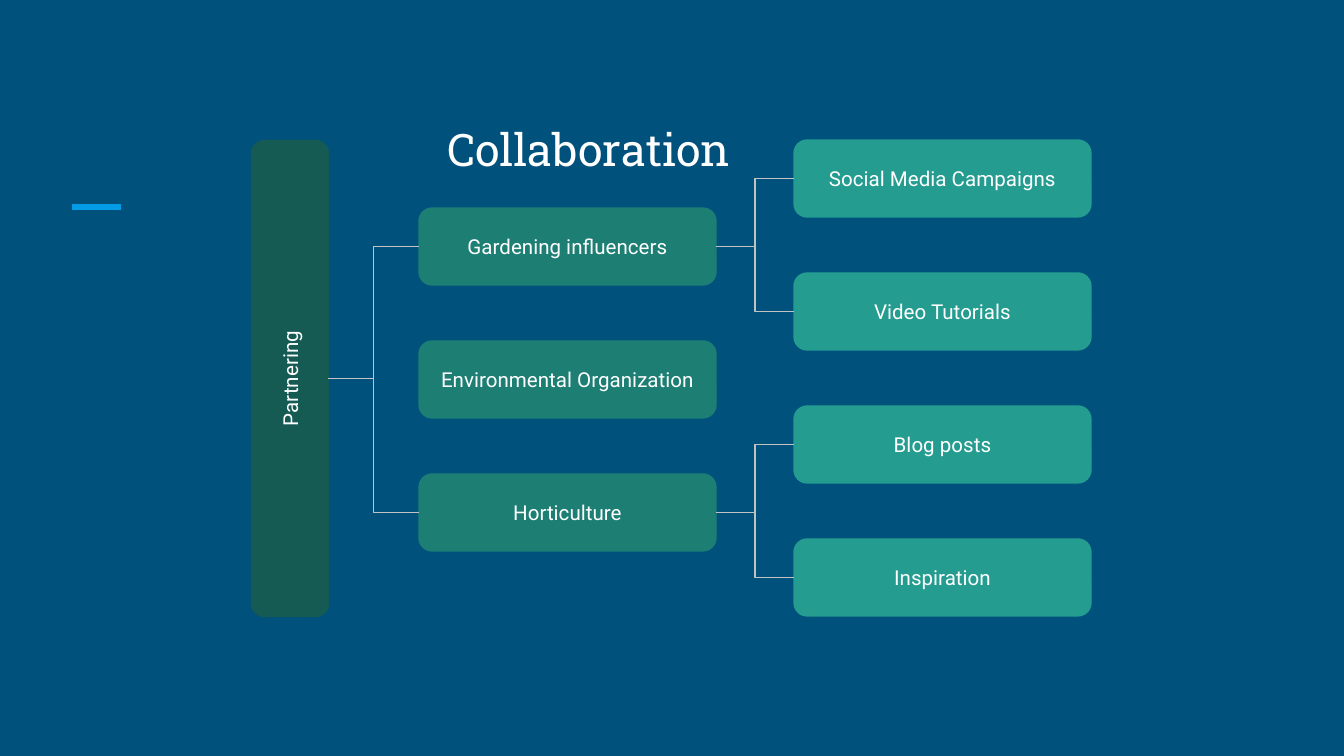
from pptx import Presentation, util as u
from pptx.dml.color import RGBColor
from pptx.enum import shapes, text
from pptx.oxml.ns import qn
from lxml import etree

HUES = {"back": "00517C", "dash": "039BE5", "link": "C2C2C2", "text": "FFFFFF",
        "root": "155B54", "mid": "1D7E74", "leaf": "249C90"}
WIDE, HIGH, STEP = 297, 77, 133  # box size and row pitch


def px(n):
    return u.Emu(round(n * 914400 / 134.4))


def hue(name):
    return RGBColor.from_string(HUES[name])


deck = Presentation()
deck.slide_width, deck.slide_height = px(1344), px(756)
slide = deck.slides.add_slide(deck.slide_layouts[6])
slide.background.fill.solid()
slide.background.fill.fore_color.rgb = hue("back")

# Title
title = slide.shapes.add_textbox(px(434), px(47), px(325), px(142))
frame = title.text_frame
frame.word_wrap = True
frame.vertical_anchor = text.MSO_ANCHOR.BOTTOM
frame.margin_left = frame.margin_right = u.Inches(0.1)
frame.margin_top = frame.margin_bottom = u.Inches(0.1)
frame.text = "Collaboration"
font = frame.paragraphs[0].font
font.name, font.size, font.color.rgb = "Roboto Slab", u.Pt(24), hue("text")

# Boxes: label, level, left, top, width
mids = ["Gardening influencers", "Environmental Organization", "Horticulture"]
leaves = ["Social Media Campaigns", "Video Tutorials", "Blog posts", "Inspiration"]
plan = [("Partnering", "root", 52, 340, 476)]
plan += [(label, "mid", 419, 208 + i * STEP, WIDE) for i, label in enumerate(mids)]
plan += [(label, "leaf", 794, 140 + i * STEP, WIDE) for i, label in enumerate(leaves)]

boxes = {}
for label, level, left, top, width in plan:
    box = slide.shapes.add_shape(shapes.MSO_SHAPE.ROUNDED_RECTANGLE,
                                 px(left), px(top), px(width), px(HIGH))
    box.shadow.inherit = False
    box.adjustments[0] = 0.17
    box.fill.solid()
    box.fill.fore_color.rgb = box.line.color.rgb = hue(level)
    box.line.width = u.Pt(0.75)
    frame = box.text_frame
    frame.word_wrap = True
    frame.vertical_anchor = text.MSO_ANCHOR.MIDDLE
    frame.margin_left = frame.margin_right = u.Inches(0.1)
    frame.margin_top = frame.margin_bottom = u.Inches(0.1)
    frame.text = label
    para = frame.paragraphs[0]
    para.alignment = text.PP_ALIGN.CENTER
    para.font.name, para.font.size = "Roboto", u.Pt(11)
    para.font.color.rgb = hue("text")
    boxes[label] = box
root = boxes["Partnering"]
root.rotation = 270

# Links from each parent to its children
pairs = [("Partnering", mids[0]), ("Partnering", mids[2]),
         (mids[0], leaves[0]), (mids[0], leaves[1]),
         (mids[2], leaves[2]), (mids[2], leaves[3])]
lines = []
for start, end in pairs:
    link = slide.shapes.add_connector(shapes.MSO_CONNECTOR.ELBOW, 0, 0, 0, 0)
    if boxes[start] is root:
        # The turned box has its bottom side facing right
        link.begin_connect(root, 2)
        link.begin_x = root.left + (root.width + root.height) // 2
        link.begin_y = root.top + root.height // 2
    else:
        link.begin_connect(boxes[start], 3)
    link.end_connect(boxes[end], 1)
    lines.append((link, "link", 0.75))

# Accent dash
dash = slide.shapes.add_connector(shapes.MSO_CONNECTOR.STRAIGHT,
                                  px(72), px(207), px(121), px(207))
lines.append((dash, "dash", 3))

for line, name, width in lines:
    line.line.color.rgb = hue(name)
    line.line.width = u.Pt(width)
    etree.SubElement(line._element.spPr, qn("a:effectLst"))

deck.save("out.pptx")
